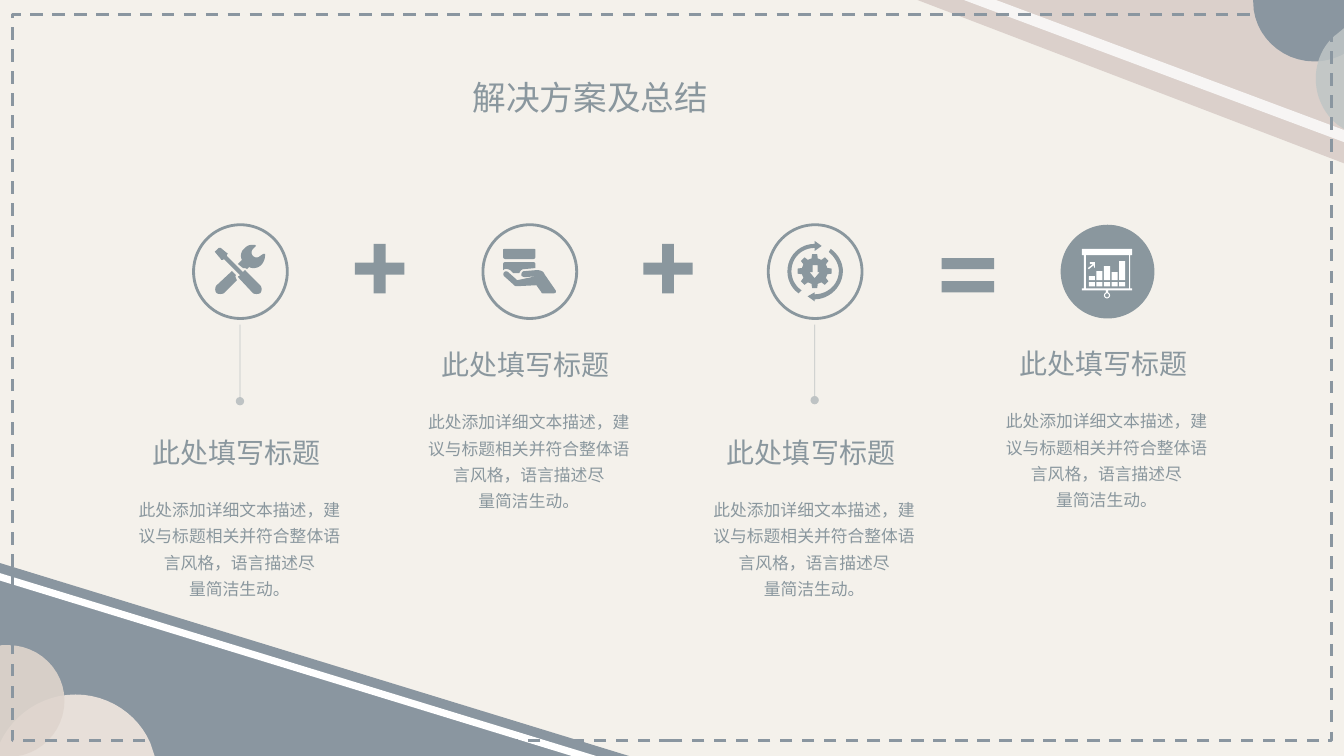
from dataclasses import dataclass
from math import cos, pi, sin

from lxml import etree
from pptx import Presentation
from pptx.dml.color import RGBColor
from pptx.enum.dml import MSO_LINE
from pptx.enum.shapes import MSO_CONNECTOR, MSO_SHAPE
from pptx.enum.text import MSO_AUTO_SIZE, PP_ALIGN
from pptx.oxml.ns import qn
from pptx.util import Pt

PX = 9144  # EMU per px, 100 px to the inch
FONT = "Noto Sans CJK SC"
CREAM = RGBColor(0xF4, 0xF1, 0xEB)
ROSE = RGBColor(0xDB, 0xD0, 0xCB)
SHELL = RGBColor(0xE7, 0xDF, 0xD9)
SAND = RGBColor(0xDF, 0xD5, 0xCD)
MIST = RGBColor(0xBF, 0xC6, 0xC6)
STEEL = RGBColor(0x8A, 0x96, 0xA0)
SLATE = RGBColor(0x8A, 0x97, 0x9E)
WHITE = RGBColor(0xFF, 0xFF, 0xFF)
OVAL, RECT, CROSS = MSO_SHAPE.OVAL, MSO_SHAPE.RECTANGLE, MSO_SHAPE.CROSS
TRIANGLE, STRIPE = MSO_SHAPE.RIGHT_TRIANGLE, MSO_SHAPE.DIAGONAL_STRIPE
CENTER, JUSTIFY = PP_ALIGN.CENTER, PP_ALIGN.JUSTIFY

STEP_TITLE = "此处填写标题"
STEP_BODY = ("此处添加详细文本描述，建", "议与标题相关并符合整体语", "言风格，语言描述尽", "量简洁生动。")

# A contour point is (x, y), or (x1, y1, x2, y2, x, y) for a Bézier curve
Contour = list[tuple[float, ...]]


@dataclass(frozen=True)
class Outline:
    color: RGBColor
    contours: list[Contour]
    opacity: int = 100


@dataclass(frozen=True)
class Step:
    left: int
    title_top: int
    icon: Outline
    filled: bool = False
    stem_end: int = 0


def box(left: float, top: float, right: float, bottom: float) -> Contour:
    return [(left, top), (right, top), (right, bottom), (left, bottom)]


def ring(cx: float, cy: float, radius: float) -> Contour:
    return [(cx + radius * cos(i * pi / 12), cy + radius * sin(i * pi / 12)) for i in range(24)]


def gear(cx: float, cy: float) -> Contour:
    corners = ((13, -0.24), (17, -0.15), (17, 0.15), (13, 0.24))
    return [(cx + r * cos(tooth * pi / 4 + a), cy + r * sin(tooth * pi / 4 + a))
            for tooth in range(8) for r, a in corners]


def flatten(contour: Contour) -> list[tuple[int, int]]:
    points: list[tuple[float, float]] = []
    for p in contour:
        if len(p) == 2:
            points.append((p[0], p[1]))
            continue
        x0, y0 = points[-1]
        for t in (i / 12 for i in range(1, 13)):
            u = 1 - t
            points.append(tuple(
                u**3 * start + 3 * u * u * t * p[k] + 3 * u * t * t * p[k + 2] + t**3 * p[k + 4]
                for k, start in enumerate((x0, y0))))
    return [(round(x * PX), round(y * PX)) for x, y in points]


def set_opacity(item, percent: int) -> None:
    for color in item.element.spPr.iter(qn("a:srgbClr")):
        etree.SubElement(color, qn("a:alpha"), val=str(percent * 1000))


def draw_outline(shapes, outline: Outline) -> None:
    first, *others = [flatten(contour) for contour in outline.contours]
    builder = shapes.build_freeform(*first[0], scale=1.0)
    builder.add_line_segments(first[1:], close=True)
    for points in others:
        builder.move_to(*points[0])
        builder.add_line_segments(points[1:], close=True)
    shape = builder.convert_to_shape()
    shape.shadow.inherit = False
    shape.fill.solid()
    shape.fill.fore_color.rgb = outline.color
    shape.line.fill.background()
    if outline.opacity < 100:
        set_opacity(shape, outline.opacity)


def add_preset(shapes, kind, left: int, top: int, width: int, height: int,
               fill: RGBColor | None = None, line: RGBColor = SLATE, weight: float = 2):
    shape = shapes.add_shape(kind, left * PX, top * PX, width * PX, height * PX)
    shape.shadow.inherit = False
    if fill is None:
        shape.fill.background()
        shape.line.color.rgb = line
        shape.line.width = Pt(weight)
    else:
        shape.fill.solid()
        shape.fill.fore_color.rgb = fill
        shape.line.fill.background()
    return shape


def add_text(shapes, left: int, top: int, width: int, height: int, lines: tuple[str, ...],
             size: int, align=CENTER, spacing: float | None = None) -> None:
    frame = shapes.add_textbox(left * PX, top * PX, width * PX, height * PX).text_frame
    frame.word_wrap = True
    frame.auto_size = MSO_AUTO_SIZE.SHAPE_TO_FIT_TEXT
    frame.text = "\n".join(lines)
    for paragraph in frame.paragraphs:
        paragraph.alignment = align
        paragraph.line_spacing = spacing
        font = paragraph.font
        font.size, font.name = Pt(size), FONT
        font.color.rgb = SLATE
        defaults = paragraph._p.get_or_add_pPr().get_or_add_defRPr()
        etree.SubElement(defaults, qn("a:ea"), typeface=FONT)


def add_stem(shapes, x: int, top: int, bottom: int) -> None:
    stem = shapes.add_connector(MSO_CONNECTOR.STRAIGHT, x * PX, top * PX, x * PX, bottom * PX)
    stem.line.color.rgb = SLATE
    stem.line.width = Pt(0.5)
    set_opacity(stem, 50)
    etree.SubElement(stem.line._get_or_add_ln(), qn("a:tailEnd"), type="oval")
    etree.SubElement(stem.element.spPr, qn("a:effectLst"))


def add_step(shapes, step: Step) -> None:
    add_preset(shapes, OVAL, step.left, 223, 93, 93, SLATE if step.filled else None)
    if step.stem_end:
        add_stem(shapes, step.left + 46, 322, step.stem_end)
    draw_outline(shapes, step.icon)
    add_text(shapes, step.left - 79, step.title_top, 243, 44, (STEP_TITLE,), 20)
    add_text(shapes, step.left - 84, step.title_top + 58, 259, 113, STEP_BODY, 12, spacing=1.3)


TOP_CORNER = (
    Outline(ROSE, [[(910, 0), (1333, 0), (1333, 162)]]),
    Outline(WHITE, [[(956, 0), (988, 0), (1333, 129), (1333, 141)]], 80),
    Outline(STEEL, [[(1304, 61), (1314, 61, 1324, 58, 1332, 54), (1333, 53), (1333, 0), (1243, 0),
                     (1243, 2), (1243, 34, 1270, 61, 1304, 61)]]),
    Outline(MIST, [[(1333, 128), (1333, 28), (1327, 33), (1313, 43, 1305, 60, 1305, 78),
                    (1305, 96, 1313, 113, 1327, 124)]], 85),
)
BOTTOM_CIRCLES = (
    Outline(SHELL, [[(75, 689), (108, 689, 137, 709, 149, 737), (154, 752), (-4, 752), (0, 737),
                     (13, 709, 42, 689, 75, 689)]]),
    Outline(SAND, [[(8, 640), (39, 640, 64, 665, 64, 695), (64, 726, 39, 751, 8, 751), (-2, 750),
                    (-2, 641), (2, 640)]], 91),
)
TOOLS = Outline(SLATE, [
    [(230, 269), (234, 273), (233, 274, 234, 276, 235, 278), (222, 291), (220, 292, 217, 292, 215, 291),
     (213, 289, 213, 285, 215, 283)],
    [(217, 246), (218, 246, 218, 246, 219, 246), (225, 251), (226, 251, 226, 252, 225, 253), (225, 254),
     (241, 270), (242, 269, 243, 267, 244, 269), (258, 283), (260, 285, 260, 289, 258, 291),
     (256, 292, 253, 292, 251, 291), (237, 276), (236, 275, 236, 274, 237, 274), (238, 273),
     (222, 257), (221, 258), (220, 258, 219, 258, 219, 257), (214, 251), (213, 250, 213, 249, 214, 249)],
    [(250, 243), (253, 243), (254, 244), (251, 247), (249, 249, 249, 252, 251, 254),
     (253, 256, 256, 256, 258, 254), (261, 252), (263, 252), (263, 256, 262, 260, 259, 263),
     (256, 266, 251, 267, 247, 265), (245, 267), (244, 266, 242, 266, 241, 266), (236, 262),
     (240, 258), (238, 254, 239, 249, 243, 246), (245, 244, 247, 243, 250, 243)]])
HAND = Outline(SLATE, [
    [(532, 268), (536, 268, 539, 269, 540, 272), (551, 288), (552, 290, 551, 291, 549, 291), (539, 291),
     (538, 291, 537, 291, 537, 290), (532, 283), (512, 284), (511, 284, 510, 283, 510, 283), (500, 274),
     (499, 273, 499, 271, 500, 270), (501, 269, 503, 269, 504, 270), (513, 278), (532, 274), (521, 275),
     (519, 275, 517, 274, 517, 273), (517, 271, 518, 269, 520, 269)],
    [(501, 260), (529, 260), (530, 260, 531, 261, 531, 262), (531, 266), (520, 267),
     (517, 267, 516, 269, 515, 271), (509, 271), (506, 268), (504, 267, 501, 266, 499, 268), (499, 262),
     (499, 261, 500, 260, 501, 260)],
    [(501, 247), (529, 247), (530, 247, 531, 247, 531, 248), (531, 255), (531, 256, 530, 257, 529, 257),
     (501, 257), (500, 257, 499, 256, 499, 255), (499, 248), (499, 247, 500, 247, 501, 247)]])
PROCESS = Outline(SLATE, [
    gear(808, 269),
    [(806, 263), (811, 263), (811, 270), (813, 270), (808, 276), (803, 270), (806, 270)],
    [(824, 247), (831, 252, 836, 260, 836, 269), (836, 284, 823, 297, 808, 297), (808, 299), (801, 294),
     (808, 290), (808, 292), (821, 292, 832, 282, 832, 269), (832, 262, 828, 255, 822, 250)],
    [(808, 239), (815, 244), (808, 249), (808, 246), (795, 246, 785, 256, 785, 269),
     (785, 277, 789, 284, 795, 288), (792, 291), (785, 286, 781, 278, 781, 269),
     (781, 254, 793, 242, 808, 242)]])
BAR_TOPS = (274, 269, 264, 270, 259)
BAR_LEFTS = [1080 + 7.5 * i for i in range(len(BAR_TOPS))]
BOARD = Outline(WHITE, [
    [(1073, 247), (1123, 247), (1123, 253), (1121, 253), (1121, 286), (1123, 286), (1123, 288),
     (1099, 288), (1099, 290), (1097, 290), (1097, 288), (1073, 288), (1073, 286), (1075, 286),
     (1075, 253), (1073, 253)],
    box(1077, 253, 1120, 286), ring(1098, 293, 3), ring(1098, 293, 2),
    *(box(x, 280, x + 6, 284) for x in BAR_LEFTS),
    *(box(x, top, x + 6, 278) for x, top in zip(BAR_LEFTS, BAR_TOPS)),
    [(1081, 260), (1086, 260), (1086, 266), (1085, 265), (1085, 263), (1080, 267), (1079, 266),
     (1084, 262), (1081, 262)]])
STEPS = (Step(192, 427, TOOLS, stem_end=398), Step(479, 340, HAND),
         Step(762, 427, PROCESS, stem_end=397), Step(1052, 339, BOARD, filled=True))


def main() -> None:
    deck = Presentation()
    deck.slide_width, deck.slide_height = 1333 * PX, 750 * PX
    slide = deck.slides.add_slide(deck.slide_layouts[6])
    slide.background.fill.solid()
    slide.background.fill.fore_color.rgb = CREAM
    shapes = slide.shapes

    # Corner decoration and dashed frame
    for outline in TOP_CORNER:
        draw_outline(shapes, outline)
    add_preset(shapes, TRIANGLE, -2, 558, 629, 193, STEEL)
    stripe = add_preset(shapes, STRIPE, -2, 568, 603, 185, WHITE)
    stripe.adjustments[0] = 0.96
    stripe.element.spPr.get_or_add_xfrm().set("flipV", "1")
    for outline in BOTTOM_CIRCLES:
        draw_outline(shapes, outline)
    frame = add_preset(shapes, RECT, 12, 14, 1309, 721, line=STEEL, weight=2.25)
    frame.line.dash_style = MSO_LINE.DASH

    # Heading, steps and the signs between them
    add_text(shapes, 459, 71, 415, 50, ("解决方案及总结",), 24, JUSTIFY)
    for step in STEPS:
        add_step(shapes, step)
    for left in (352, 638):
        add_preset(shapes, CROSS, left, 242, 49, 49, SLATE).adjustments[0] = 0.38
    for top in (256, 279):
        add_preset(shapes, RECT, 934, top, 52, 11, SLATE)
    deck.save("out.pptx")


if __name__ == "__main__":
    main()
